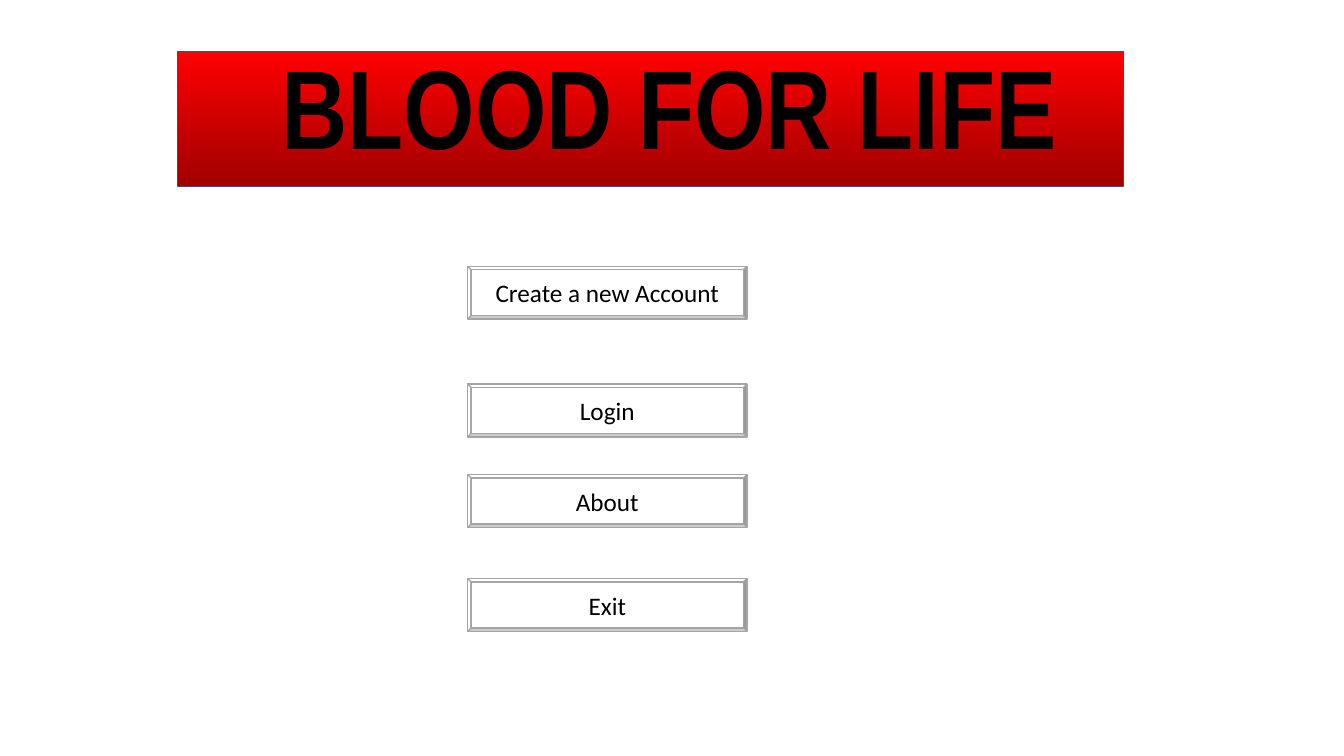
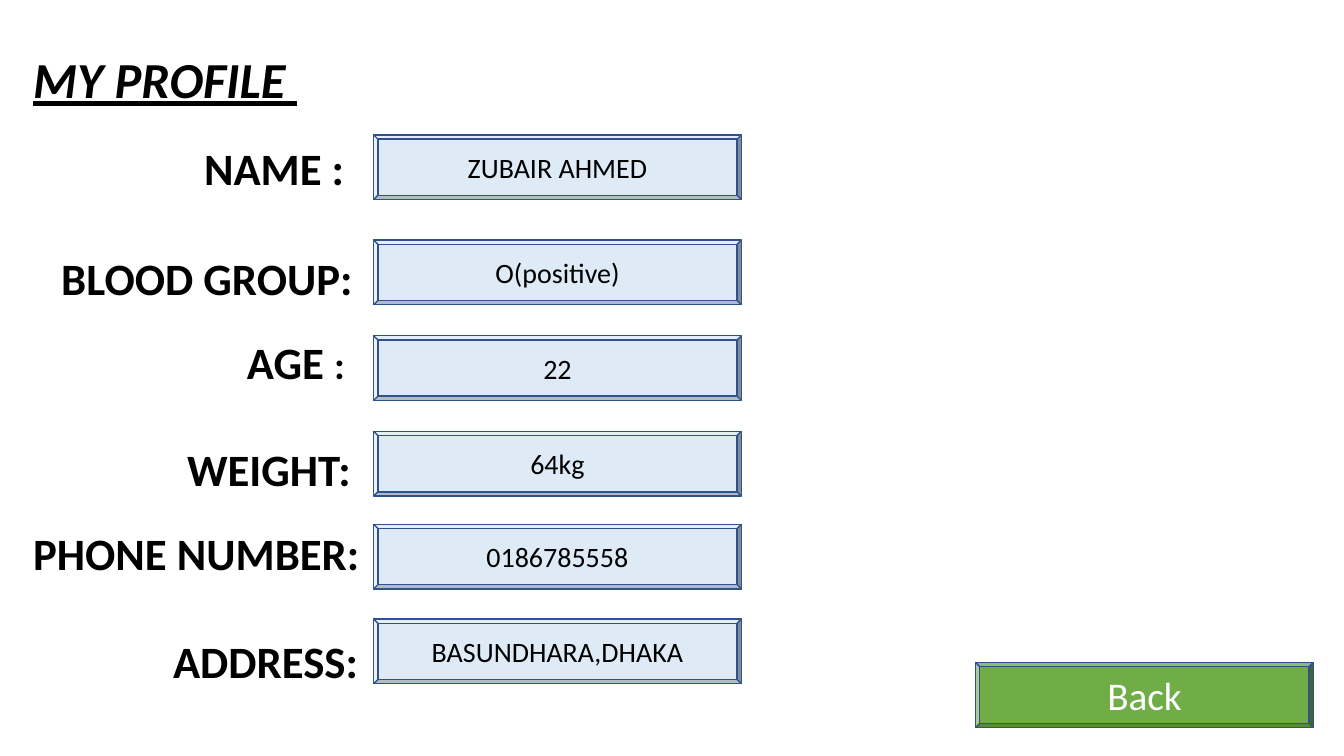
from pptx import Presentation
from pptx.dml.color import RGBColor
from pptx.enum.shapes import MSO_SHAPE as SHAPE
from pptx.enum.text import MSO_ANCHOR as ANCHOR, MSO_AUTO_SIZE as AUTO, PP_ALIGN as ALIGN
from pptx.util import Cm, Pt

BLACK, WHITE, NAVY, GREY = "000000", "FFFFFF", "2F528F", "A5A5A5"
RED, DARK_RED, PALE_BLUE, GREEN = "FF0000", "A00000", "DEEBF7", "70AD47"
BEVEL_DEPTH = 0.065

MENU = [("Create a new Account", 6.71), ("Login", 9.68), ("About", 11.96), ("Exit", 14.58)]
FIELDS = [("ZUBAIR AHMED", 3.4), ("O(positive)", 6.05), ("22", 8.46),
          ("64kg", 10.87), ("0186785558", 13.21), ("BASUNDHARA,DHAKA", 15.6)]

HEADING = dict(size=Pt(36), italic=True, underline=True)
LABEL = dict(size=Pt(32))
# Each line: indent in cm, line height in points, runs
PROFILE_LINES = [
    (0, 60, [("MY PROFILE ", HEADING)]),
    (4.31, 62, [("NAME :", LABEL)]),
    (0.71, 78, [("BLOOD GROUP:", LABEL)]),
    (5.39, 60, [("AGE ", LABEL), (":", dict(size=Pt(28)))]),
    (3.88, 77, [("WEIGHT:", LABEL)]),
    (0, 60, [("PHONE NUMBER:", LABEL)]),
    (3.53, 77, [("ADDRESS:", LABEL)]),
]


def rgb(value):
    return RGBColor.from_string(value)


def add_run(p, text, color=BLACK, **font):
    r = p.add_run()
    r.text = text
    r.font.color.rgb = rgb(color)
    for name, value in {"name": "Calibri", **font}.items():
        setattr(r.font, name, value)


def add_box(slide, kind, box, line):
    sp = slide.shapes.add_shape(kind, *(Cm(v) for v in box))
    sp.shadow.inherit = False
    sp.line.color.rgb = rgb(line)
    sp.line.width = Pt(1)
    return sp


def add_button(slide, box, text, fill, line, size, color=BLACK):
    sp = add_box(slide, SHAPE.BEVEL, box, line)
    sp.adjustments[0] = BEVEL_DEPTH
    sp.fill.solid()
    sp.fill.fore_color.rgb = rgb(fill)
    tf = sp.text_frame
    tf.word_wrap = True
    tf.vertical_anchor = ANCHOR.MIDDLE
    p = tf.paragraphs[0]
    p.alignment = ALIGN.CENTER
    add_run(p, text, color, size=Pt(size))


def add_column(slide, left, width, height, items, **style):
    """Stack buttons of one size, each at its own top."""
    for text, top in items:
        add_button(slide, (left, top, width, height), text, **style)


def add_banner(slide, box):
    fill = add_box(slide, SHAPE.RECTANGLE, box, NAVY).fill
    fill.gradient()
    fill.gradient_angle = 90
    for stop, color in zip(fill.gradient_stops, (DARK_RED, RED)):
        stop.color.rgb = rgb(color)


def fill_title(slide, box, lines, anchor):
    """Place the title in box and write its indented lines."""
    title = slide.shapes.title
    title.left, title.top, title.width, title.height = (Cm(v) for v in box)
    title.element.getparent().append(title.element)
    tf = title.text_frame
    tf.word_wrap = True
    tf.auto_size = AUTO.NONE
    tf.vertical_anchor = anchor
    for i, (indent, spacing, runs) in enumerate(lines):
        p = tf.add_paragraph() if i else tf.paragraphs[0]
        p.alignment = ALIGN.LEFT
        p.line_spacing = spacing if isinstance(spacing, float) else Pt(spacing)
        p._p.get_or_add_pPr().set("marL", str(Cm(indent)))
        for text, font in runs:
            add_run(p, text, bold=True, **font)


def build_home(slide):
    add_banner(slide, (4.47, 1.3, 23.85, 3.4))
    name = dict(name="Arial Narrow", size=Pt(80))
    fill_title(slide, (2.34, 1.02, 29.21, 3.68),
               [(4.51, 0.9, [("BLOOD FOR LIFE", name)])], ANCHOR.MIDDLE)
    add_column(slide, 11.79, 7.04, 1.33, MENU, fill=WHITE, line=GREY, size=18)


def build_profile(slide):
    fill_title(slide, (0.58, 0.48, 19.91, 16.71), PROFILE_LINES, ANCHOR.TOP)
    add_column(slide, 9.42, 9.27, 1.63, FIELDS, fill=PALE_BLUE, line=NAVY, size=20)
    add_button(slide, (24.59, 16.69, 8.52, 1.65), "Back", GREEN, NAVY, 28, WHITE)


def main():
    prs = Presentation()
    prs.slide_width, prs.slide_height = Cm(33.88), Cm(19.05)
    title_only = prs.slide_layouts[5]
    for build in (build_home, build_profile):
        build(prs.slides.add_slide(title_only))
    prs.save("out.pptx")


if __name__ == "__main__":
    main()
